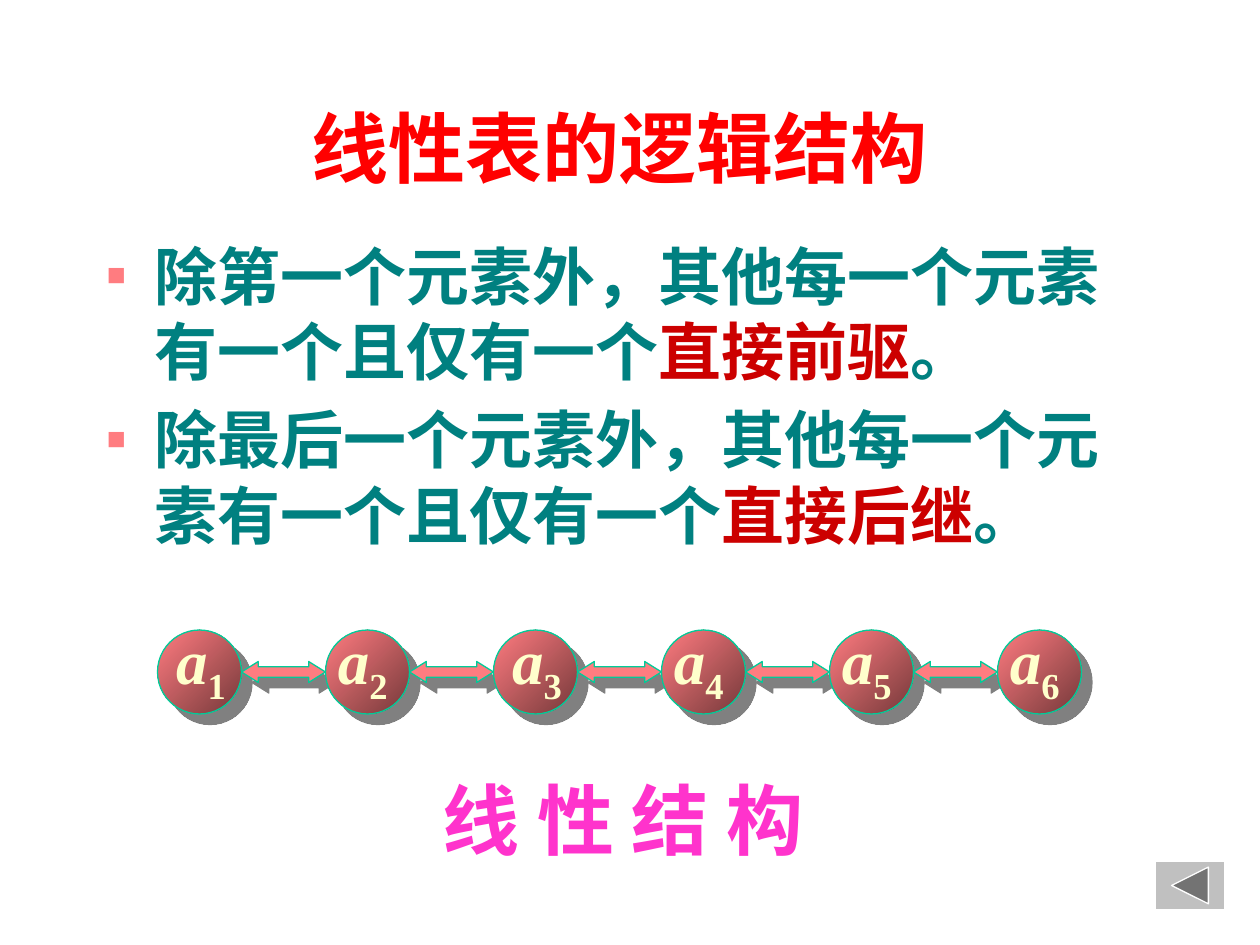
from dataclasses import dataclass

from lxml import etree
from pptx import Presentation
from pptx.dml.color import RGBColor
from pptx.enum.shapes import MSO_SHAPE
from pptx.enum.text import MSO_ANCHOR, MSO_AUTO_SIZE, PP_ALIGN
from pptx.oxml.ns import qn
from pptx.util import Pt

OVAL = MSO_SHAPE.OVAL
ARROW = MSO_SHAPE.LEFT_RIGHT_ARROW
BACK = MSO_SHAPE.ACTION_BUTTON_BACK_OR_PREVIOUS
TOP, MIDDLE = MSO_ANCHOR.TOP, MSO_ANCHOR.MIDDLE
FIT = MSO_AUTO_SIZE.SHAPE_TO_FIT_TEXT
NONE = MSO_AUTO_SIZE.NONE
LEFT, CENTER = PP_ALIGN.LEFT, PP_ALIGN.CENTER


@dataclass(frozen=True)
class Theme:
    """Colours, font and type sizes of the slide."""
    font: str = "Times New Roman"
    large: int = 44
    text: int = 36
    title: str = "FF0000"
    body: str = "008080"
    key: str = "CC0000"
    coral: str = "FF7C80"
    dark: str = "76393B"
    edge: str = "00CC99"
    shade: str = "808080"
    label: str = "FFFFCC"
    end: str = "FF33CC"
    button: str = "C0C0C0"
    white: str = "FFFFFF"


THEME = Theme()
POINTS = [
    ("除第一个元素外，其他每一个元素有一个且仅有一个", "直接前驱"),
    ("除最后一个元素外，其他每一个元素有一个且仅有一个", "直接后继"),
]


def color(code):
    """Turn a hex code into a colour."""
    return RGBColor.from_string(code)


def assign(target, values):
    """Set each attribute of the target from a dict."""
    for name, value in values.items():
        setattr(target, name, value)


def add_node(parent, tag, **values):
    """Append a drawing element with the given attributes."""
    node = etree.SubElement(parent, qn(tag))
    for name, value in values.items():
        node.set(name, str(value))
    return node


def add_run(para, text, size, code, **style):
    """Add a bold run of text."""
    run = para.add_run()
    run.text = text
    assign(run.font, {"name": THEME.font, "size": Pt(size), "bold": True, **style})
    run.font.color.rgb = color(code)
    return run


def add_box(shapes, box, wrap=True, anchor=TOP):
    """Add a text box and return its frame."""
    frame = shapes.add_textbox(*map(Pt, box)).text_frame
    assign(frame, {
        "word_wrap": wrap,
        "vertical_anchor": anchor,
        "auto_size": NONE if wrap else FIT,
    })
    return frame


def add_form(shapes, kind, box, fill, edge):
    """Add a preset shape with a solid fill and a thin edge."""
    form = shapes.add_shape(kind, *map(Pt, box))
    form.shadow.inherit = False
    form.fill.solid()
    form.fill.fore_color.rgb = color(fill)
    form.line.color.rgb = color(edge)
    form.line.width = Pt(0.75)
    return form


def add_shade(form):
    """Cast a hard shadow to the lower right."""
    effects = form._element.spPr.find(qn("a:effectLst"))
    shade = add_node(effects, "a:outerShdw", blurRad=0, dist=Pt(8.5),
                     dir=45 * 60000, algn="ctr", rotWithShape=0)
    add_node(shade, "a:srgbClr", val=THEME.shade)


def add_title(shapes, box):
    """Place the slide title."""
    para = add_box(shapes, box, anchor=MIDDLE).paragraphs[0]
    para.alignment = CENTER
    add_run(para, "线性表的逻辑结构", THEME.large, THEME.title)


def add_points(shapes, box):
    """Place the bulleted statements."""
    frame = add_box(shapes, box)
    for index, (text, key) in enumerate(POINTS):
        para = frame.add_paragraph() if index else frame.paragraphs[0]
        assign(para, {"alignment": LEFT, "space_before": Pt(7.2 * (index > 0))})
        props = para._p.get_or_add_pPr()
        props.set("marL", str(Pt(27)))
        props.set("indent", str(Pt(-27)))
        add_node(add_node(props, "a:buClr"), "a:srgbClr", val=THEME.coral)
        add_node(props, "a:buSzPct", val=50000)
        add_node(props, "a:buFont", typeface=THEME.font)
        add_node(props, "a:buChar", char="■")
        for part, code in ((text, THEME.body), (key, THEME.key), ("。", THEME.body)):
            add_run(para, part, THEME.text, code)


def add_ball(shapes, box):
    """Place one shaded list element."""
    ball = add_form(shapes, OVAL, box, THEME.coral, THEME.edge)
    ball.fill.gradient()
    ball.fill.gradient_angle = 315
    for stop, place, code in zip(ball.fill.gradient_stops, (0, 1),
                                 (THEME.coral, THEME.dark)):
        stop.position = place
        stop.color.rgb = color(code)
    add_shade(ball)


def add_label(shapes, box, number):
    """Place the letter a with its index."""
    para = add_box(shapes, box, wrap=False).paragraphs[0]
    add_run(para, "a", THEME.text, THEME.label, italic=True)
    index = add_run(para, str(number), THEME.text, THEME.label, italic=False)
    index._r.get_or_add_rPr().set("baseline", "-25000")


def add_chain(shapes, box, count=6):
    """Place the row of linked elements in a group."""
    left, top, width, size = box
    step = (width - size) / (count - 1)
    parts = shapes.add_group_shape().shapes
    for index in range(count):
        x = left + index * step
        add_ball(parts, (x, top, size, size))
        if index < count - 1:
            link = (x + size, top + size * 3 / 8, step - size, size / 4)
            arrow = add_form(parts, ARROW, link, THEME.coral, THEME.edge)
            arrow.adjustments[0], arrow.adjustments[1] = 0.5, 0.8
            add_shade(arrow)
    for index in range(count):
        shift = 3.6 if index in (0, 2) else 0
        spot = (left + index * step + shift, top - 8.64, 44.6, 50.4)
        add_label(parts, spot, index + 1)


def add_end(shapes, box):
    """Place the closing caption."""
    para = add_box(shapes, box, wrap=False).paragraphs[0]
    add_run(para, "线 性 结 构", THEME.large, THEME.end)


def main():
    """Build and save the slide."""
    deck = Presentation()
    assign(deck, {"slide_width": Pt(720), "slide_height": Pt(540)})
    shapes = deck.slides.add_slide(deck.slide_layouts[6]).shapes
    add_title(shapes, (48, 54, 612, 60))
    add_points(shapes, (54, 132, 612, 210))
    add_chain(shapes, (90, 360, 528, 48))
    add_form(shapes, BACK, (660, 492, 40, 28), THEME.button, THEME.white)
    add_end(shapes, (246, 438, 223, 60))
    deck.save("out.pptx")


if __name__ == "__main__":
    main()
